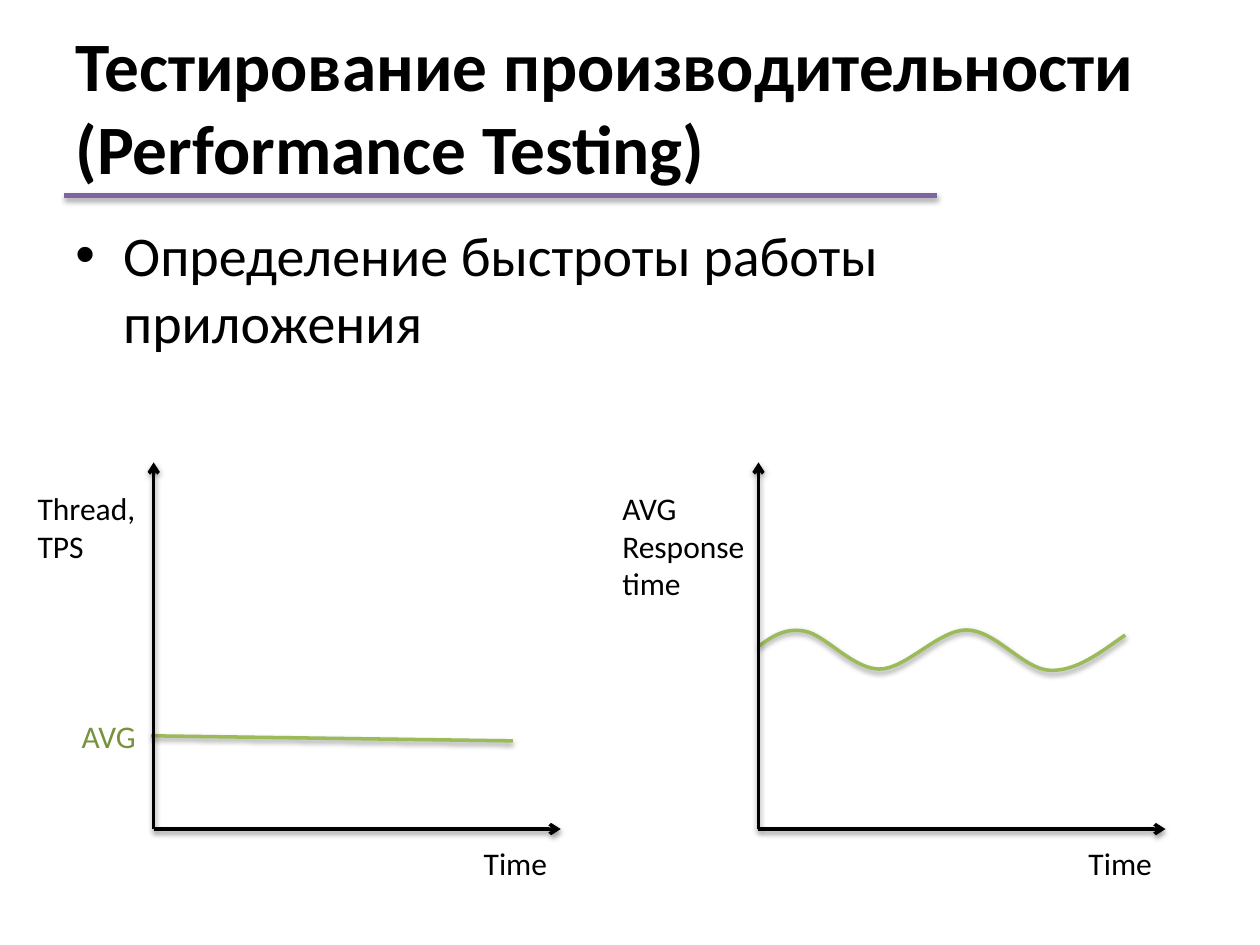
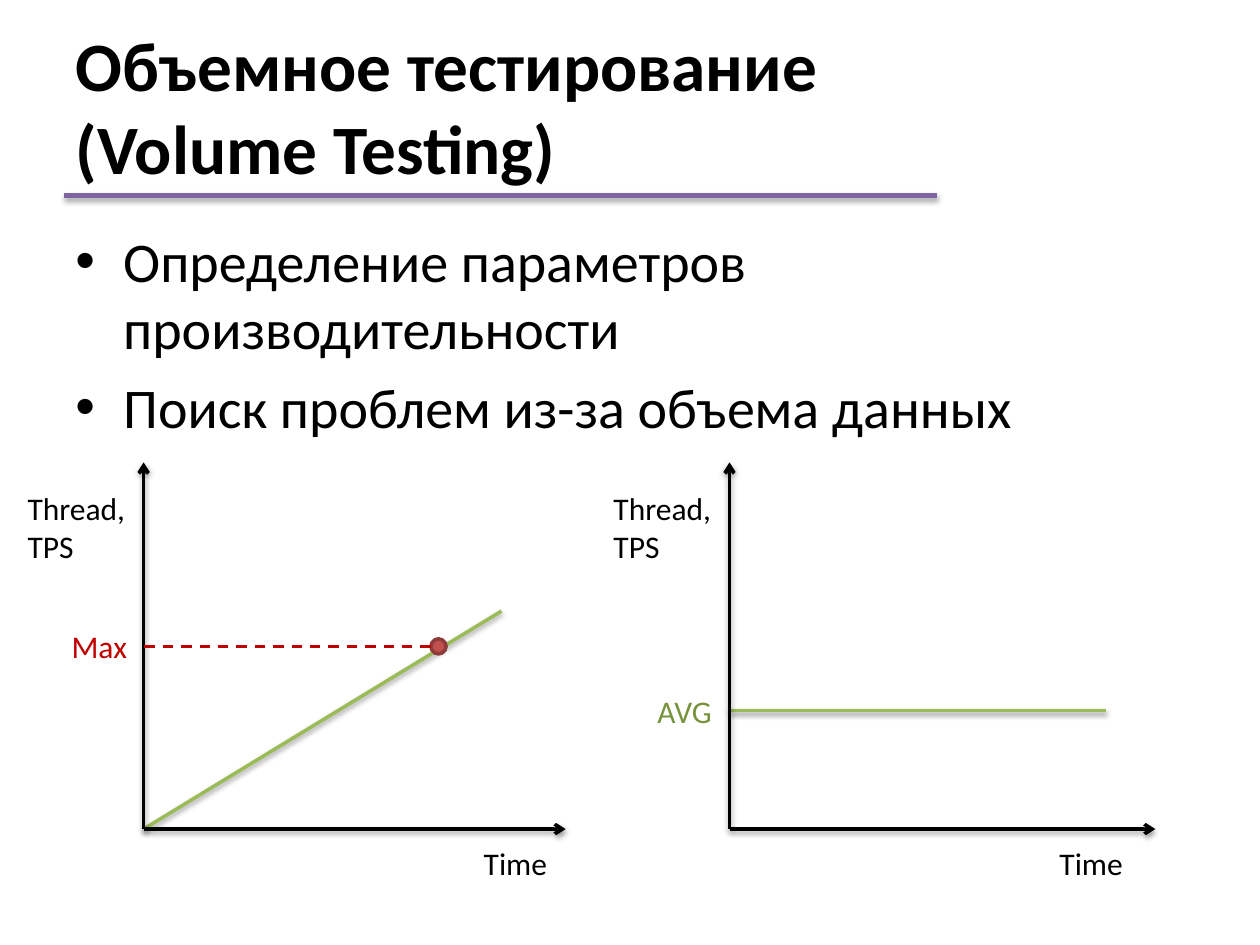
"""Two slides on load testing, each with a title, bullets and two time graphs."""
from dataclasses import dataclass

from lxml import etree
from pptx import Presentation
from pptx.dml.color import RGBColor
from pptx.enum.dml import MSO_LINE
from pptx.enum.shapes import MSO_CONNECTOR, MSO_SHAPE
from pptx.enum.text import MSO_ANCHOR, MSO_AUTO_SIZE, PP_ALIGN
from pptx.oxml.ns import qn
from pptx.util import Inches, Pt

STRAIGHT, DOT, DASH = MSO_CONNECTOR.STRAIGHT, MSO_SHAPE.FLOWCHART_CONNECTOR, MSO_LINE.DASH
MIDDLE, TOP, LEFT, NO_FIT = MSO_ANCHOR.MIDDLE, MSO_ANCHOR.TOP, PP_ALIGN.LEFT, MSO_AUTO_SIZE.NONE


@dataclass(frozen=True)
class Theme:
    """Colours, font and type sizes."""
    font: str = "Calibri"
    ink: str = "000000"
    rule: str = "8064A2"
    trace: str = "9BBB59"
    average: str = "77933C"
    limit: str = "C00000"
    dot: str = "C0504D"
    dot_edge: str = "8E3B39"
    title: float = 39.6
    body: float = 32
    label: float = 18


T = Theme()
MARGIN, FLOOR, CEILING = 0.5, 6.58, 3.67
LABEL_TOP, TIME_TOP, LINE_H = 3.83, 6.65, 0.4
MARK_W, TIME_W, DOT_D = 0.67, 0.71, 0.12

WAVE = [(6.02, 5.13), (6.13, 5.05), (6.23, 4.98), (6.39, 5.01), (6.55, 5.04), (6.77, 5.31),
        (6.98, 5.31), (7.19, 5.31), (7.45, 5), (7.67, 5), (7.9, 5), (8.12, 5.31),
        (8.33, 5.32), (8.54, 5.33), (8.73, 5.18), (8.93, 5.04)]

SLIDES = [
    dict(title="Тестирование производительности (Performance Testing)", title_w=8.75,
         bullets=["Определение быстроты работы приложения"], body=(1.7, 1.42),
         graphs=[
             dict(x=1.22, end=4.45, time_end=4.45, label="Thread, TPS", label_w=1.02, label_h=0.71,
                  trace=[(1.2, 5.84), (4.07, 5.88)], mark=("AVG", T.average, 5.84)),
             dict(x=6.02, end=9.25, time_end=9.25, label="AVG Response time", label_w=1.18,
                  label_h=1.01, trace=WAVE)]),
    dict(title="Объемное тестирование \v(Volume Testing)", title_w=9,
         bullets=["Определение параметров производительности",
                  "Поиск проблем из-за объема данных"], body=(1.75, 4.95),
         graphs=[
             dict(x=1.14, end=4.49, time_end=4.45, label="Thread, TPS", label_w=1.02, label_h=0.71,
                  trace=[(1.14, FLOOR), (3.98, 4.85)], mark=("Max", T.limit, 5.13), dot_x=3.48),
             dict(x=5.79, end=9.17, time_end=9.02, label="Thread, TPS", label_w=1.02, label_h=0.71,
                  trace=[(5.79, 5.64), (8.78, 5.64)], mark=("AVG", T.average, 5.64))]),
]


def place(sp, x, y, w, h):
    """Set position and size in inches."""
    sp.left, sp.top, sp.width, sp.height = map(Inches, (x, y, w, h))


def write(sp, *texts, size=T.label, color=T.ink, bold=False, bullet=False, wrap=True, anchor=TOP):
    """Fill a shape with formatted paragraphs."""
    tf = sp.text_frame
    tf.auto_size, tf.word_wrap, tf.vertical_anchor = NO_FIT, wrap, anchor
    for i, text in enumerate(texts):
        p = tf.add_paragraph() if i else tf.paragraphs[0]
        p.text, p.alignment = text, LEFT
        p.space_before = Pt(size * 0.2 if i else 0)
        if bullet:
            pPr = p._p.get_or_add_pPr()
            pPr.set("marL", str(Inches(0.38)))
            pPr.set("indent", str(Inches(-0.38)))
            etree.SubElement(pPr, qn("a:buFont")).set("typeface", "Arial")
            etree.SubElement(pPr, qn("a:buChar")).set("char", "•")
        for r in p.runs:
            r.font.name, r.font.size, r.font.bold = T.font, Pt(size), bold
            r.font.color.rgb = RGBColor.from_string(color)


def add_text(s, x, y, w, h, *texts, **fmt):
    """Add a text box."""
    sp = s.shapes.add_textbox(0, 0, 0, 0)
    place(sp, x, y, w, h)
    write(sp, *texts, **fmt)


def stroke(sp, color, width=2, shadow=38, dist=1.6, arrow=False, dash=None):
    """Style a line and its downward shadow."""
    sp.line.color.rgb, sp.line.width = RGBColor.from_string(color), Pt(width)
    if dash:
        sp.line.dash_style = dash
    if arrow:
        etree.SubElement(sp.line._get_or_add_ln(), qn("a:tailEnd")).set("type", "arrow")
    effects = etree.SubElement(sp._element.spPr, qn("a:effectLst"))
    if shadow:
        outer = etree.SubElement(effects, qn("a:outerShdw"), blurRad=str(Pt(3.1)),
                                 dist=str(Pt(dist)), dir="5400000", rotWithShape="0")
        clr = etree.SubElement(outer, qn("a:srgbClr"), val=T.ink)
        etree.SubElement(clr, qn("a:alpha"), val=str(shadow * 1000))


def add_line(s, start, end, color, **fmt):
    """Add a straight connector."""
    sp = s.shapes.add_connector(STRAIGHT, *map(Inches, (*start, *end)))
    stroke(sp, color, **fmt)


def add_curve(s, points, color):
    """Add an open outline of cubic curves, three points to each."""
    builder = s.shapes.build_freeform(*map(Inches, points[0]))
    builder.add_line_segments([tuple(map(Inches, pt)) for pt in points[1:]], close=False)
    sp = builder.convert_to_shape()
    outline = sp._element.find(".//" + qn("a:path"))
    steps = outline.findall(qn("a:lnTo"))
    for i in range(0, len(steps), 3):
        curve = etree.SubElement(outline, qn("a:cubicBezTo"))
        for step in steps[i:i + 3]:
            curve.append(step[0])
            outline.remove(step)
    sp.fill.background()
    stroke(sp, color)


def add_graph(s, x, end, time_end, label, label_w, label_h, trace, mark=None, dot_x=None):
    """Draw axes, trace, labels and an optional marked level."""
    if len(trace) > 2:
        add_curve(s, trace, T.trace)
    else:
        add_line(s, *trace, T.trace)
    for tip in ((x, CEILING), (end, FLOOR)):
        add_line(s, (x, FLOOR), tip, T.ink, arrow=True)
    add_text(s, x - label_w, LABEL_TOP, label_w, label_h, label)
    add_text(s, time_end - TIME_W, TIME_TOP, TIME_W, LINE_H, "Time", wrap=False)
    if mark:
        text, color, level = mark
        add_text(s, x - MARK_W, level - LINE_H / 2, MARK_W, LINE_H, text, color=color)
        if dot_x:
            sp = s.shapes.add_shape(DOT, 0, 0, 0, 0)
            place(sp, dot_x - DOT_D / 2, level - DOT_D / 2, DOT_D, DOT_D)
            sp.fill.solid()
            sp.fill.fore_color.rgb = RGBColor.from_string(T.dot)
            stroke(sp, T.dot_edge, shadow=0)
            add_line(s, (dot_x - DOT_D / 2, level), (x, level), color, width=1.5, shadow=0,
                     dash=DASH)


def add_slide(prs, title, title_w, bullets, body, graphs):
    """Build one slide."""
    s = prs.slides.add_slide(prs.slide_layouts[5])
    place(s.shapes.title, MARGIN, 0.21, title_w, 1.25)
    write(s.shapes.title, title, size=T.title, bold=True, anchor=MIDDLE)
    top, height = body
    add_text(s, MARGIN, top, 9, height, *bullets, size=T.body, bullet=True)
    for graph in graphs:
        add_graph(s, **graph)
    add_line(s, (0.51, 1.55), (7.44, 1.55), T.rule, width=3, shadow=35, dist=1.8)


def main():
    """Build and save the deck."""
    prs = Presentation()
    prs.slide_width, prs.slide_height = Inches(10), Inches(7.5)
    for content in SLIDES:
        add_slide(prs, **content)
    prs.save("out.pptx")


if __name__ == "__main__":
    main()
